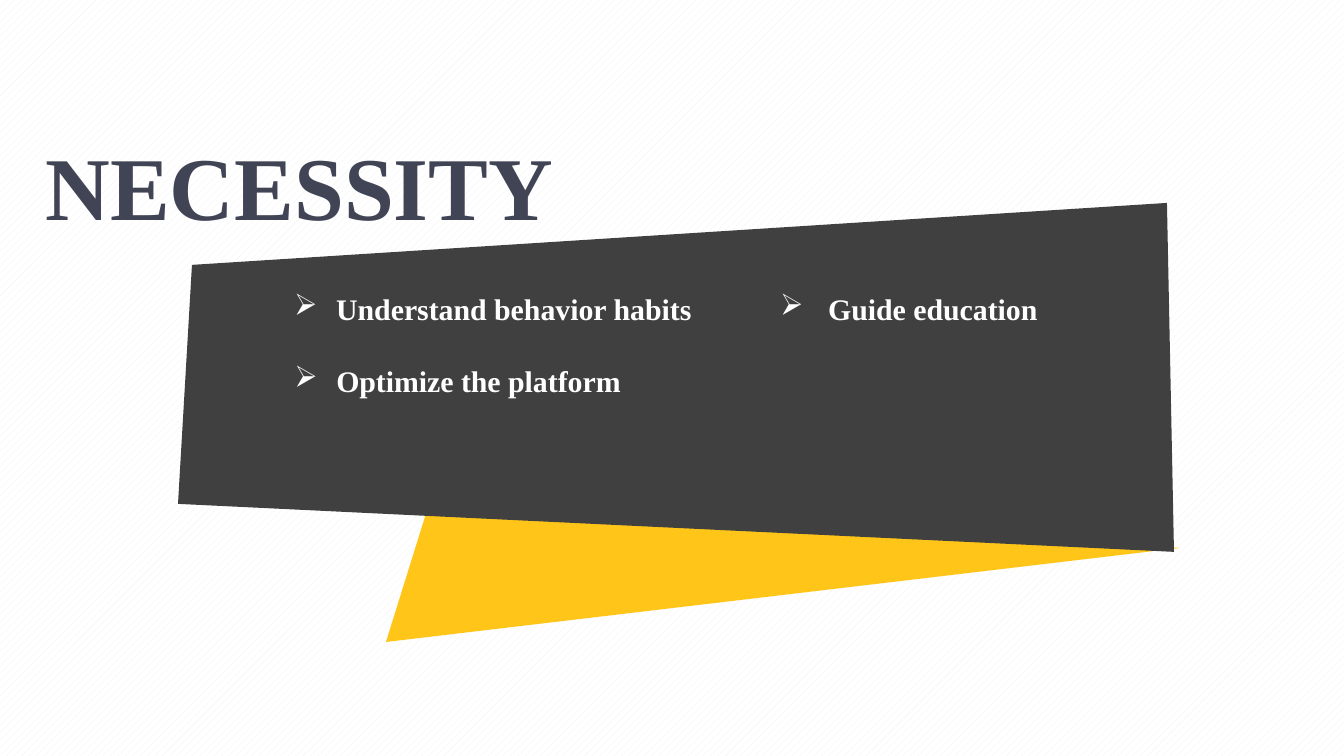
import pptx
import pptx.dml.color
import pptx.enum.dml
import pptx.enum.text
import pptx.oxml.ns
import pptx.util
import lxml.etree

PX = 914400 / 134.4
COLORS = {"paper": "FFFFFF", "stripe": "F2F2F2", "panel": "404040",
          "accent": "FFC000", "title": "414455", "text": "FFFFFF"}
FONT = {"name": "Times New Roman", "bold": True}
ALIGN = pptx.enum.text.PP_ALIGN


def px(n):
    return pptx.util.Emu(round(n * PX))


def rgb(name):
    return pptx.dml.color.RGBColor.from_string(COLORS[name])


def add_child(parent, tag, **attrs):
    el = lxml.etree.SubElement(parent, pptx.oxml.ns.qn(tag))
    for key, value in attrs.items():
        el.set(key, str(value))
    return el


def set_background(s):
    fill = s.background.fill
    fill.patterned()
    fill.pattern = pptx.enum.dml.MSO_PATTERN.WIDE_UPWARD_DIAGONAL
    fill.fore_color.rgb = rgb("stripe")
    fill.back_color.rgb = rgb("paper")


def add_polygon(s, points, color, opacity=100):
    builder = s.shapes.build_freeform(*points[0], scale=PX)
    builder.add_line_segments(points[1:], close=True)
    sp = builder.convert_to_shape()
    sp.shadow.inherit = False
    sp.line.fill.background()
    sp.fill.solid()
    sp.fill.fore_color.rgb = rgb(color)
    if opacity < 100:
        clr = sp.fill._xPr.find(".//" + pptx.oxml.ns.qn("a:srgbClr"))
        add_child(clr, "a:alpha", val=opacity * 1000)


def add_text(s, box, text, size, color, align=ALIGN.LEFT):
    tf = s.shapes.add_textbox(*map(px, box)).text_frame
    tf.word_wrap = False
    tf.auto_size = pptx.enum.text.MSO_AUTO_SIZE.SHAPE_TO_FIT_TEXT
    p = tf.paragraphs[0]
    p.alignment = align
    r = p.add_run()
    r.text = text
    for key, value in {**FONT, "size": pptx.util.Pt(size)}.items():
        setattr(r.font, key, value)
    r.font.color.rgb = rgb(color)
    return p


def add_bullet(s, box, text, indent=42, bullet_size=16):
    p = add_text(s, box, text, 16, "text")
    pPr = p._p.get_or_add_pPr()
    pPr.set("marL", str(px(indent)))
    pPr.set("indent", str(-px(indent)))
    add_child(pPr, "a:buSzPts", val=bullet_size * 100)
    add_child(pPr, "a:buChar", char="➢")


def main():
    """Build the necessity slide and save it."""
    prs = pptx.Presentation()
    prs.slide_width, prs.slide_height = px(1344), px(756)
    s = prs.slides.add_slide(prs.slide_layouts[6])
    set_background(s)
    add_polygon(s, [(1180, 548), (616, 509), (430, 501), (386, 642)], "accent", 90)
    add_polygon(s, [(178, 504), (192, 265), (1167, 203), (1174, 552)], "panel")
    add_text(s, (32, 124, 535, 122), "NECESSITY", 48, "title", ALIGN.CENTER)
    add_bullet(s, (281, 284, 425, 50), "Understand behavior habits")
    add_bullet(s, (281, 356, 355, 50), "Optimize the platform")
    add_bullet(s, (767, 284, 286, 50), "Guide education", 48, 14)
    prs.save("out.pptx")


if __name__ == "__main__":
    main()
